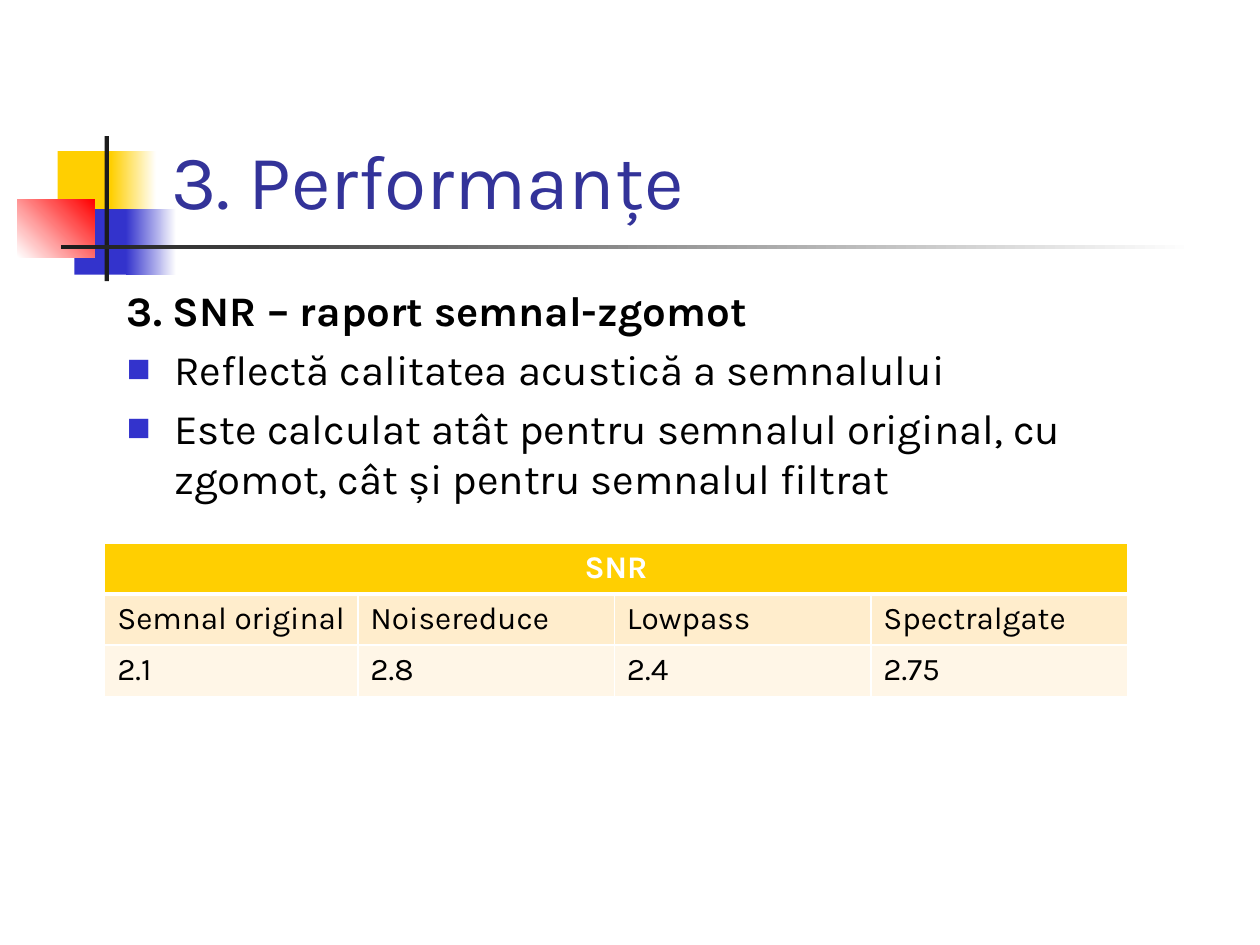
from typing import NamedTuple, Optional

from lxml.etree import SubElement
from pptx import Presentation
from pptx.dml.color import RGBColor
from pptx.enum.shapes import MSO_SHAPE
from pptx.enum.text import MSO_ANCHOR, PP_ALIGN
from pptx.oxml.ns import qn
from pptx.util import Pt

FONT = "Karla"
WHITE = RGBColor(0xFF, 0xFF, 0xFF)
BLACK = RGBColor(0, 0, 0)
DARK = RGBColor(0x1C, 0x1C, 0x1C)
GOLD = RGBColor(0xFF, 0xCF, 0x01)
BLUE = RGBColor(0x33, 0x33, 0xCC)
NAVY = RGBColor(0x33, 0x33, 0x99)
RED = RGBColor(0xFF, 0, 0)
SAND = RGBColor(0xFF, 0xED, 0xCC)
CREAM = RGBColor(0xFF, 0xF6, 0xE7)


class Block(NamedTuple):
    left: float
    top: float
    width: float
    height: float
    color: RGBColor
    end: Optional[RGBColor] = None
    angle: int = 0


class Line(NamedTuple):
    text: str
    bold: bool = False
    bullet: bool = False


BLOCKS = [
    Block(33, 86.4, 34.6, 37.4, GOLD),
    Block(63.4, 86.4, 25.9, 37.4, GOLD, WHITE),
    Block(42.5, 119.5, 33.1, 37.4, BLUE),
    Block(72, 119.5, 28.8, 37.4, BLUE, WHITE),
    Block(10, 113.8, 44, 33.1, WHITE, RED, 45),
    Block(59.8, 77.8, 2.4, 82.8, DARK),
    Block(34.6, 140.1, 648, 2.4, DARK, WHITE),
]

LINES = [
    Line("3. SNR – raport semnal-zgomot", bold=True),
    Line("Reflectă calitatea acustică a semnalului", bullet=True),
    Line("Este calculat atât pentru semnalul original, cu zgomot, "
         "cât și pentru semnalul filtrat", bullet=True),
]

ROWS = [
    ["SNR", "", "", ""],
    ["Semnal original", "Noisereduce", "Lowpass", "Spectralgate"],
    ["2.1", "2.8", "2.4", "2.75"],
]
FILLS = [GOLD, SAND, CREAM]
WIDTHS = [144.7, 146.6, 146.6, 146.6]
HEIGHT = 29.2


def draw_block(slide, block: Block) -> None:
    shape = slide.shapes.add_shape(
        MSO_SHAPE.RECTANGLE, Pt(block.left), Pt(block.top),
        Pt(block.width), Pt(block.height))
    shape.shadow.inherit = False
    shape.line.fill.background()
    if block.end is None:
        shape.fill.solid()
        shape.fill.fore_color.rgb = block.color
        return
    shape.fill.gradient()
    shape.fill.gradient_angle = block.angle
    for stop, color in zip(shape.fill.gradient_stops, (block.color, block.end)):
        stop.color.rgb = color


def style(para, size: float, color: RGBColor, bold: bool = False) -> None:
    for run in para.runs:
        run.font.name = FONT
        run.font.size = Pt(size)
        run.font.bold = bold
        run.font.color.rgb = color


def add_frame(slide, left: float, top: float, width: float, height: float):
    box = slide.shapes.add_textbox(Pt(left), Pt(top), Pt(width), Pt(height))
    box.text_frame.word_wrap = True
    return box.text_frame


def add_bullet(para) -> None:
    props = para._p.get_or_add_pPr()
    props.set("marL", str(Pt(27)))
    props.set("indent", str(-Pt(27)))
    color = SubElement(props, qn("a:buClr"))
    SubElement(color, qn("a:srgbClr"), val=str(BLUE))
    SubElement(props, qn("a:buSzPct"), val="60000")
    SubElement(props, qn("a:buFont"), typeface=FONT)
    SubElement(props, qn("a:buChar"), char="■")


def draw_title(slide) -> None:
    frame = add_frame(slide, 90.7, 16.6, 613.4, 115.2)
    frame.vertical_anchor = MSO_ANCHOR.BOTTOM
    frame.text = "3. Performanțe"
    style(frame.paragraphs[0], 44, NAVY)


def draw_body(slide, lines: list[Line]) -> None:
    frame = add_frame(slide, 65.5, 159.1, 612, 324)
    frame.text = "\n".join(line.text for line in lines)
    for para, line in zip(frame.paragraphs, lines):
        para.space_before = Pt(4.8)
        if line.bullet:
            add_bullet(para)
        style(para, 24, BLACK, line.bold)


def add_edges(cell, base: float) -> None:
    props = cell._tc.get_or_add_tcPr()
    sizes = {"a:lnL": 1, "a:lnR": 1, "a:lnT": 1, "a:lnB": base}
    for index, (name, size) in enumerate(sizes.items()):
        edge = SubElement(props, qn(name), w=str(Pt(size)))
        fill = SubElement(edge, qn("a:solidFill"))
        SubElement(fill, qn("a:srgbClr"), val=str(WHITE))
        props.insert(index, edge)


def draw_table(slide) -> None:
    table = slide.shapes.add_table(
        len(ROWS), len(WIDTHS), Pt(59.8), Pt(310.3),
        Pt(sum(WIDTHS)), Pt(HEIGHT * len(ROWS))).table
    for col, width in zip(table.columns, WIDTHS):
        col.width = Pt(width)
    for r, (row, fill) in enumerate(zip(ROWS, FILLS)):
        head = r == 0
        table.rows[r].height = Pt(HEIGHT)
        for c, text in enumerate(row):
            cell = table.cell(r, c)
            cell.text = text
            cell.fill.solid()
            cell.fill.fore_color.rgb = fill
            add_edges(cell, 3 if head else 1)
            para = cell.text_frame.paragraphs[0]
            para.alignment = PP_ALIGN.CENTER if head else PP_ALIGN.LEFT
            style(para, 18, WHITE if head else BLACK, head)
    table.cell(0, 0).merge(table.cell(0, len(WIDTHS) - 1))


def main() -> None:
    deck = Presentation()
    deck.slide_width, deck.slide_height = Pt(720), Pt(540)
    slide = deck.slides.add_slide(deck.slide_layouts[6])
    for block in BLOCKS:
        draw_block(slide, block)
    draw_title(slide)
    draw_body(slide, LINES)
    draw_table(slide)
    deck.save("out.pptx")


if __name__ == "__main__":
    main()
